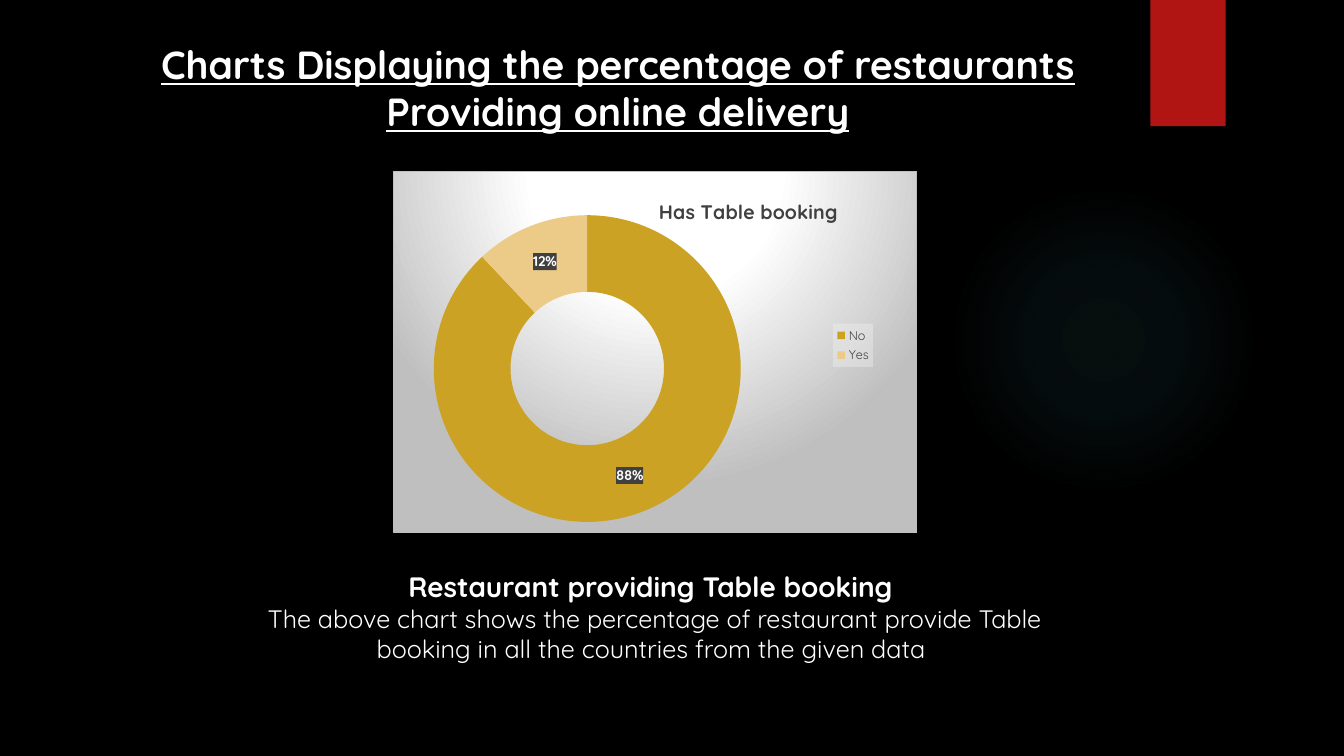
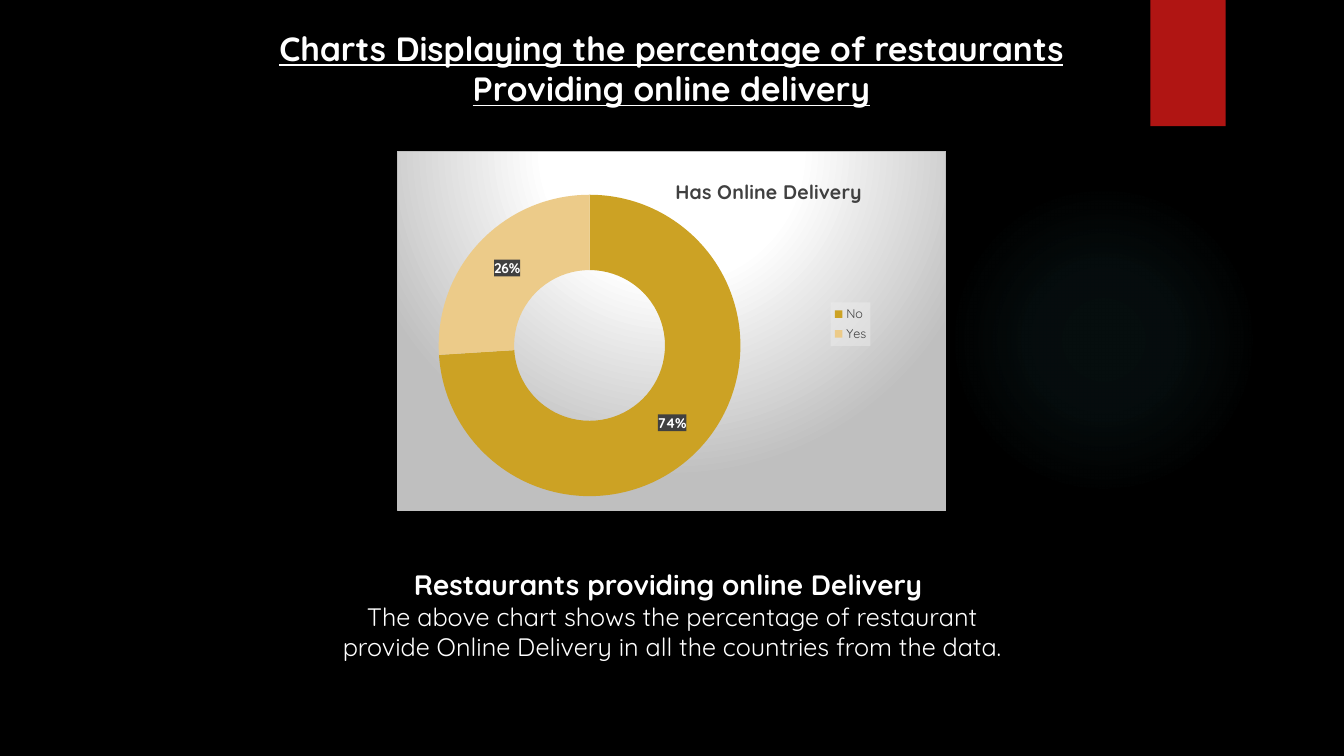
import pptx
import pptx.chart.data
import pptx.dml.color
import pptx.enum.chart
import pptx.enum.shapes
import pptx.enum.text
import pptx.oxml
import pptx.oxml.ns
import pptx.util

Cm, Pt = pptx.util.Cm, pptx.util.Pt
RGB = pptx.dml.color.RGBColor
qn = pptx.oxml.ns.qn

BLACK = RGB(0x00, 0x00, 0x00)
WHITE = RGB(0xFF, 0xFF, 0xFF)
RED = RGB(0xB0, 0x15, 0x13)
TEAL = RGB(0x50, 0xB9, 0xC1)
GOLD = RGB(0xCC, 0xA2, 0x24)
SAND = RGB(0xEC, 0xCB, 0x89)
DARK = RGB(0x40, 0x40, 0x40)
SILVER = RGB(0xBF, 0xBF, 0xBF)
PALE = RGB(0xF2, 0xF2, 0xF2)

FONT = "Quicksand"
HEAD = {"name": FONT, "bold": True, "underline": True, "color": WHITE}
LEAD = {"name": FONT, "size": Pt(20), "bold": True, "color": WHITE}
BODY = {"name": FONT, "size": Pt(18), "bold": False, "color": WHITE}
BASE = {"name": FONT, "size": Pt(10), "color": WHITE}
NAME = {"name": FONT, "size": Pt(14), "bold": True, "color": DARK}
KEY = {"name": FONT, "size": Pt(9), "color": DARK}
TAG = {"name": FONT, "size": Pt(10), "bold": True, "color": WHITE}

TITLE = "Charts Displaying the percentage of restaurants Providing online delivery"

# Boxes are left, top, width, height in centimetres;
# plot and key are shares of the chart box, and the key sizes itself.
SLIDES = [
    {
        "size": 28,
        "title": (1.65, 0.89, 27.84, 2.64),
        "chart": (9.91, 4.32, 13.21, 9.12),
        "caption": (6.35, 14.22, 20.29, 2.64),
        "name": "Has Table booking",
        "values": (88, 12),
        "plot": (0.03, 0.12, 0.68, 0.85),
        "key": (0.84, 0.42),
        "lead": "Restaurant providing Table booking ",
        "text": "The above chart shows the percentage of restaurant provide "
                "Table booking in all the countries from the given data ",
    },
    {
        "size": 24,
        "title": (5.59, 0.58, 22.66, 2.31),
        "chart": (10.01, 3.81, 13.84, 9.07),
        "caption": (7.82, 14.17, 18.24, 2.64),
        "name": "Has Online Delivery",
        "values": (74, 26),
        "plot": (0.02, 0.12, 0.66, 0.84),
        "key": (0.79, 0.42),
        "lead": "Restaurants providing online Delivery ",
        "text": "The above chart shows the percentage of restaurant provide "
                "Online Delivery in all the countries from the data.",
    },
]


def style(font, look):
    for key, value in look.items():
        if key == "color":
            font.color.rgb = value
        else:
            setattr(font, key, value)


def node(tag, inner, attrs=""):
    spaces = pptx.oxml.ns.nsdecls("a", "c")
    return pptx.oxml.parse_xml(f"<{tag} {spaces} {attrs}>{inner}</{tag}>")


def solid(color, alpha=100):
    return (f'<a:solidFill><a:srgbClr val="{color}">'
            f'<a:alpha val="{alpha * 1000}"/></a:srgbClr></a:solidFill>')


def radial(stops, top, bottom):
    """Inside of a circular gradient; stops are (place, colour, alpha)."""
    marks = "".join(
        f'<a:gs pos="{pos * 1000}"><a:srgbClr val="{color}">'
        f'<a:alpha val="{alpha * 1000}"/></a:srgbClr></a:gs>'
        for pos, color, alpha in stops)
    return (f'<a:gsLst>{marks}</a:gsLst><a:path path="circle"><a:fillToRect '
            f'l="50000" t="{top * 1000}" r="50000" b="{bottom * 1000}"/></a:path>')


def layout(host, index, spot, inner=False):
    """Pin a chart part to a spot given in shares of the chart box."""
    for old in host.findall(qn("c:layout")):
        host.remove(old)
    marks = '<c:layoutTarget val="inner"/>' if inner else ""
    marks += '<c:xMode val="edge"/><c:yMode val="edge"/>'
    marks += "".join(f'<c:{side} val="{share}"/>' for side, share in zip("xywh", spot))
    host.insert(index, node("c:layout", f"<c:manualLayout>{marks}</c:manualLayout>"))


def master(deck):
    """Put the black ground, glow and red tab on the slide master."""
    base = deck.slide_master
    base.background.fill.solid()
    base.background.fill.fore_color.rgb = BLACK
    draft = deck.slides[0].shapes
    kinds = pptx.enum.shapes.MSO_SHAPE
    glow = draft.add_shape(kinds.OVAL, Cm(23.9), Cm(4.65), Cm(7.82), Cm(7.82))
    tab = draft.add_shape(kinds.RECTANGLE, Cm(28.99), Cm(0), Cm(1.9), Cm(3.18))
    stops = [(0, TEAL, 7), (36, TEAL, 6), (69, TEAL, 0)]
    glow.element.spPr.find(qn("a:prstGeom")).addnext(
        node("a:gradFill", radial(stops, 50, 50)))
    tab.fill.solid()
    tab.fill.fore_color.rgb = RED
    for shape in (glow, tab):
        shape.line.fill.background()
        shape.shadow.inherit = False
        base.shapes.element.append(shape.element)


def words(shape, box, lines):
    """Fill a placeholder with centred (text, look) lines, without bullets."""
    shape.left, shape.top, shape.width, shape.height = map(Cm, box)
    frame = shape.text_frame
    frame.word_wrap = True
    frame.auto_size = pptx.enum.text.MSO_AUTO_SIZE.NONE
    frame.vertical_anchor = pptx.enum.text.MSO_ANCHOR.TOP
    frame.text = "\n".join(text for text, look in lines)
    for mark in shape.element.xpath(".//a:p"):
        props = mark.get_or_add_pPr()
        props.set("marL", "0")
        props.set("indent", "0")
        props.append(node("a:buNone", ""))
    for para, (text, look) in zip(frame.paragraphs, lines):
        para.alignment = pptx.enum.text.PP_ALIGN.CENTER
        para.space_before = Pt(0)
        style(para.runs[0].font, look)


def ring(slide, box, info):
    """Draw the doughnut chart with its title and key."""
    data = pptx.chart.data.CategoryChartData()
    data.categories = ["No", "Yes"]
    data.add_series("Series 1", info["values"])
    kind = pptx.enum.chart.XL_CHART_TYPE.DOUGHNUT
    chart = slide.shapes.add_chart(kind, *map(Cm, box), data).chart
    style(chart.font, BASE)
    root = chart.element

    stops = [(0, WHITE, 100), (39, WHITE, 100), (100, SILVER, 100)]
    ground = f"<a:gradFill>{radial(stops, -80, 180)}</a:gradFill>"
    edge = f'<a:ln w="{Pt(0.75)}">{solid(SILVER)}</a:ln>'
    root.find(qn("c:chart")).addnext(node("c:spPr", ground + edge))
    layout(root.xpath(".//c:plotArea")[0], 0, info["plot"], True)

    chart.has_title = True
    frame = chart.chart_title.text_frame
    frame.text = info["name"]
    style(frame.paragraphs[0].runs[0].font, NAME)
    layout(root.xpath("c:chart/c:title")[0], 1, (0.5, 0.06))

    chart.has_legend = True
    chart.legend.position = pptx.enum.chart.XL_LEGEND_POSITION.RIGHT
    chart.legend.include_in_layout = False
    style(chart.legend.font, KEY)
    layout(root.xpath(".//c:legend")[0], 1, info["key"])
    root.xpath(".//c:legend/c:txPr")[0].addprevious(node("c:spPr", solid(PALE, 39)))

    chart.plots[0].vary_by_categories = True
    series = chart.plots[0].series[0]
    for index, color in enumerate((GOLD, SAND)):
        fill = series.points[index].format.fill
        fill.solid()
        fill.fore_color.rgb = color
    tags = series.data_labels
    looks = {"show_value": False, "show_percentage": True,
             "number_format": "0%", "number_format_is_linked": False}
    for key, value in looks.items():
        setattr(tags, key, value)
    style(tags.font, TAG)
    root.xpath(".//c:ser/c:dLbls/c:txPr")[0].addprevious(
        node("c:spPr", solid(DARK, 85)))


def page(deck, info):
    slide = deck.slides.add_slide(deck.slide_layouts[1])
    head = {**HEAD, "size": Pt(info["size"])}
    words(slide.shapes.title, info["title"], [(TITLE, head)])
    ring(slide, info["chart"], info)
    words(slide.placeholders[1], info["caption"],
          [(info["lead"], LEAD), (info["text"], BODY)])


def main():
    deck = pptx.Presentation()
    deck.slide_width, deck.slide_height = Cm(33.87), Cm(19.05)
    for info in SLIDES:
        page(deck, info)
    master(deck)
    deck.save("out.pptx")


if __name__ == "__main__":
    main()
